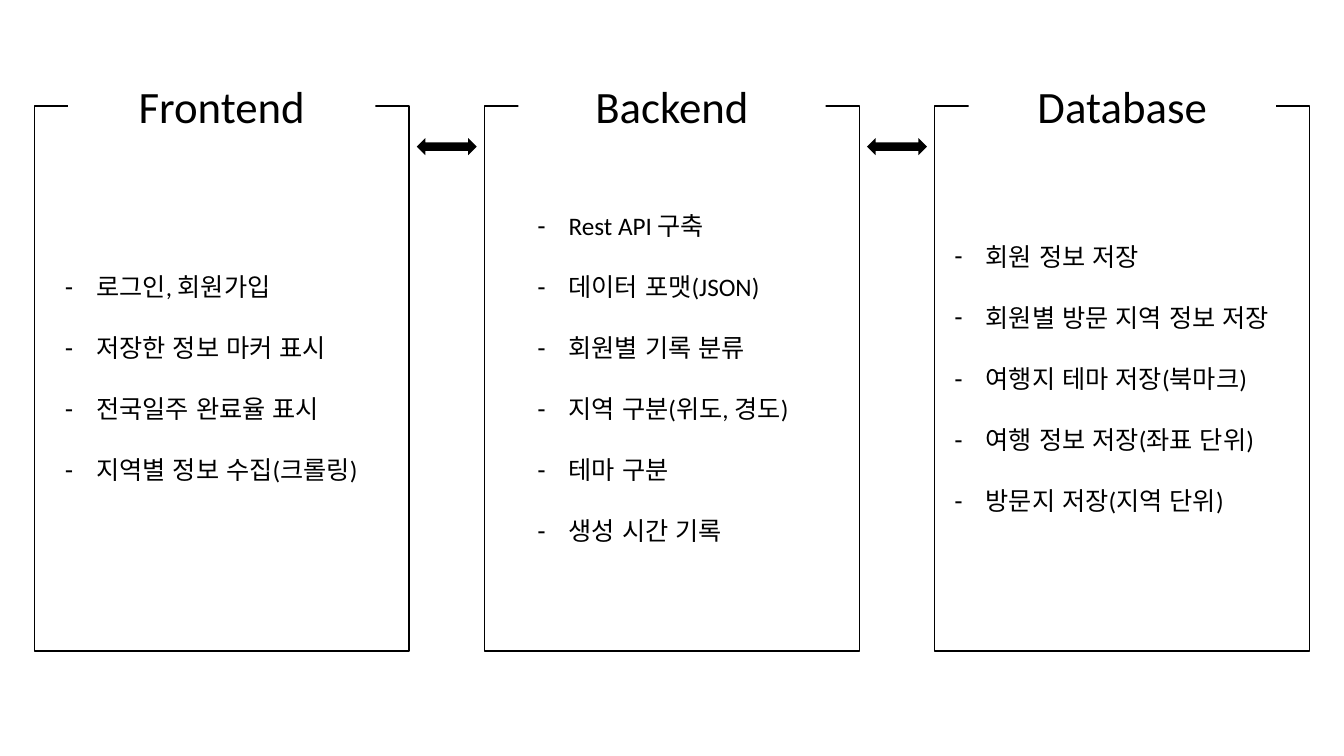
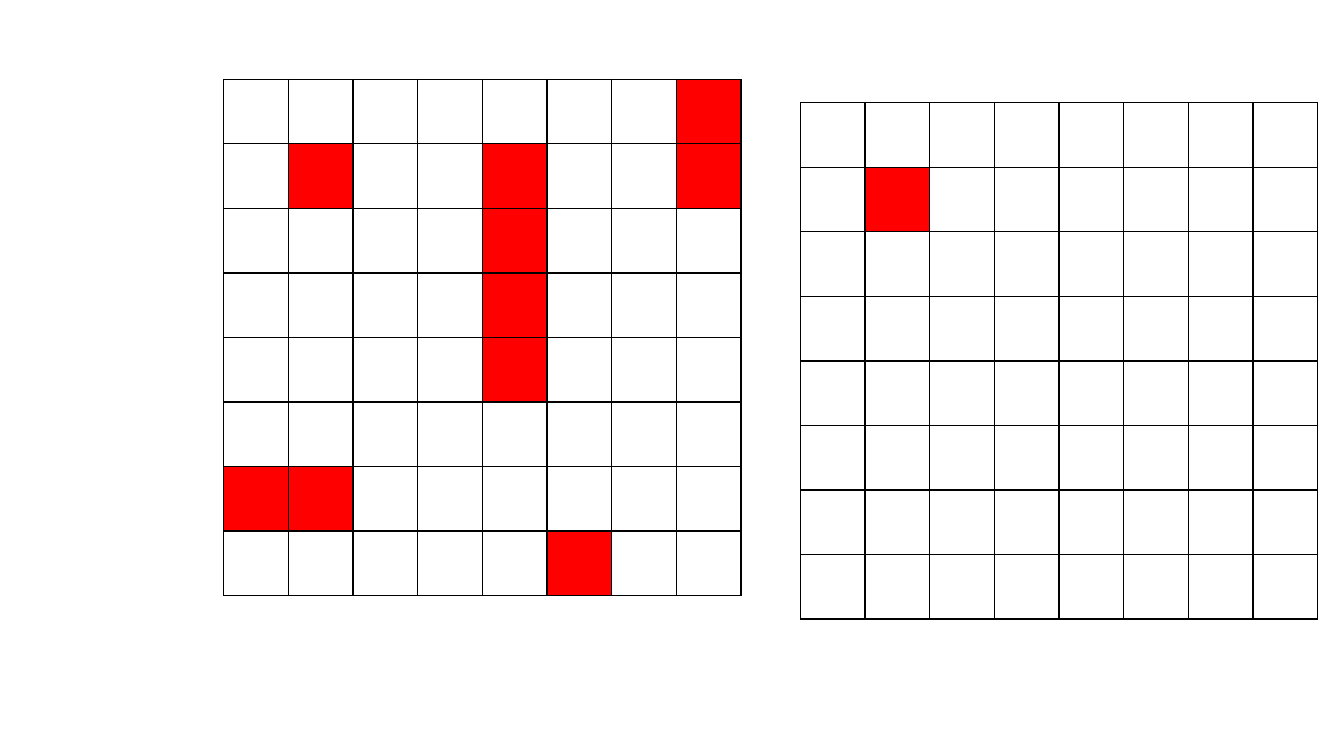
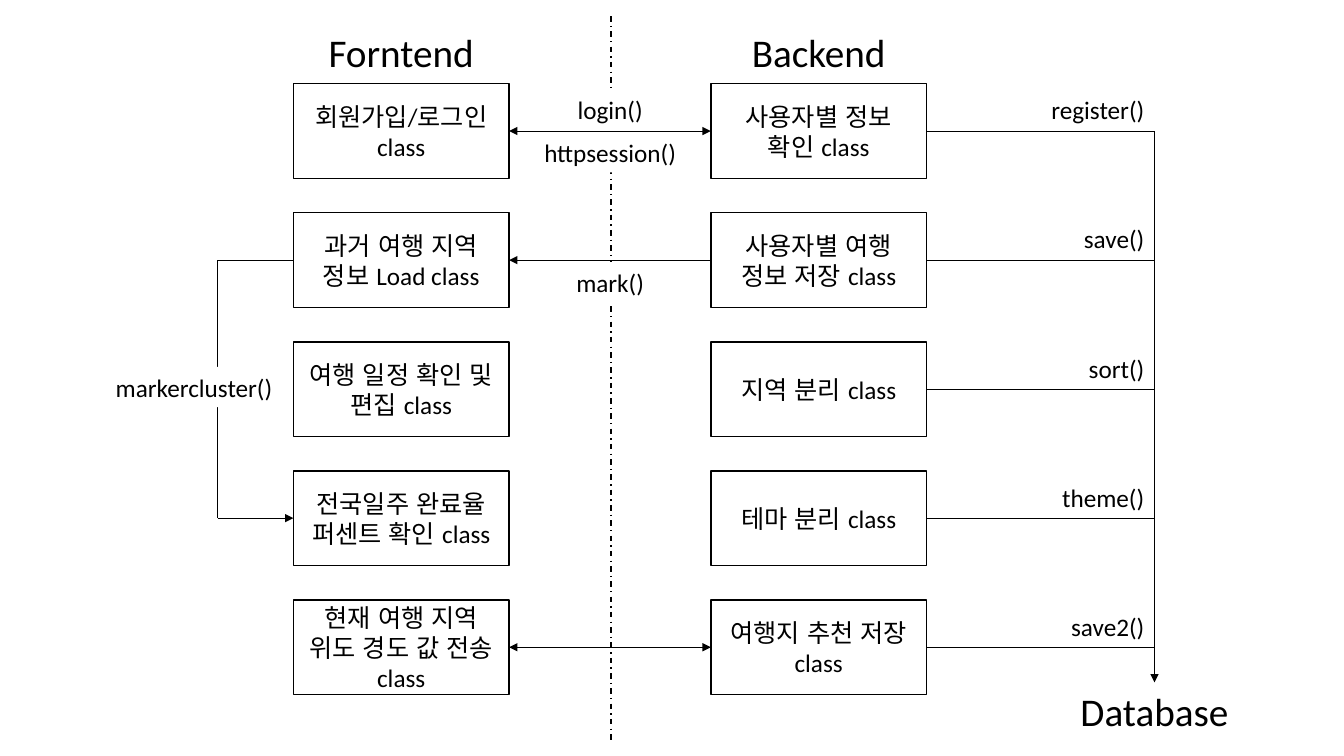
import copy
import dataclasses
import itertools

import pptx
import pptx.dml.color
import pptx.enum.dml
import pptx.enum.lang
import pptx.enum.shapes
import pptx.enum.text
import pptx.oxml
import pptx.oxml.ns
import pptx.util
from lxml import etree

COLORS = {"ink": "000000", "paper": "FFFFFF", "mark": "FF0000"}
FONT = "Calibri"
SIZES = {"panel": 32, "column": 28, "text": 18}
THIN, REGULAR = 0.5, 1
ALIGN = pptx.enum.text.PP_ALIGN
ANCHOR = pptx.enum.text.MSO_ANCHOR
SHAPE = pptx.enum.shapes.MSO_SHAPE
qn = pptx.oxml.ns.qn


@dataclasses.dataclass
class Box:
    left: float
    top: float
    width: float
    height: float

    def x(self, percent):
        return self.left + self.width * percent / 100

    def y(self, percent):
        return self.top + self.height * percent / 100

    def share(self, left, top, width, height):
        return Box(self.x(left), self.y(top),
                   self.width * width / 100, self.height * height / 100)

    def lengths(self):
        return [pptx.util.Inches(value) for value in dataclasses.astuple(self)]


PAGE = Box(0, 0, 13.33, 7.5)


def color(name):
    return pptx.dml.color.RGBColor.from_string(COLORS[name])


def paint(fill, name):
    fill.solid()
    fill.fore_color.rgb = color(name)


def style_paragraph(para, size, align):
    para.alignment = align
    para.font.name = FONT
    para.font.size = pptx.util.Pt(size)
    para.font.bold = False
    para.font.color.rgb = color("ink")
    para.font.language_id = pptx.enum.lang.MSO_LANGUAGE_ID.KOREAN


def place(shape, box):
    shape.left, shape.top, shape.width, shape.height = box.lengths()


def write(shape, text, size, align=ALIGN.CENTER, side_margin=0.1):
    frame = shape.text_frame
    frame.word_wrap = True
    frame.auto_size = pptx.enum.text.MSO_AUTO_SIZE.NONE
    frame.vertical_anchor = ANCHOR.MIDDLE
    frame.margin_left = frame.margin_right = pptx.util.Inches(side_margin)
    frame.text = text
    for para in frame.paragraphs:
        para.space_before = pptx.util.Pt(0)
        style_paragraph(para, size, align)


def add_frame(slide, box):
    frame = slide.shapes.add_shape(SHAPE.RECTANGLE, *box.lengths())
    frame.shadow.inherit = False
    frame.fill.background()
    frame.line.color.rgb = color("ink")
    frame.line.width = pptx.util.Pt(REGULAR)
    return frame


def add_label(slide, box, text, size=SIZES["text"], align=ALIGN.CENTER, filled=False):
    label = slide.shapes.add_textbox(*box.lengths())
    if filled:
        paint(label.fill, "paper")
    write(label, text, size, align, side_margin=0)


def add_line(slide, start, end, width=THIN, heads=(), dash=None):
    points = [pptx.util.Inches(value) for value in (*start, *end)]
    line = slide.shapes.add_connector(pptx.enum.shapes.MSO_CONNECTOR.STRAIGHT, *points)
    line.line.color.rgb = color("ink")
    line.line.width = pptx.util.Pt(width)
    if dash:
        line.line.dash_style = dash
    properties = line.element.spPr
    for head in heads:
        etree.SubElement(properties.find(qn("a:ln")), qn(f"a:{head}")).set("type", "triangle")
    etree.SubElement(properties, qn("a:effectLst"))
    return line


def widen_comparison_layout(layout):
    for source_index, new_index in ((1, 13), (2, 14)):
        source = layout.placeholders.get(idx=source_index).element
        extra = copy.deepcopy(source)
        extra.find(".//" + qn("p:cNvPr")).set("id", str(new_index + 20))
        extra.find(".//" + qn("p:ph")).set("idx", str(new_index))
        source.getparent().append(extra)


def fill_list(body, box, items):
    place(body, box)
    write(body, "\n".join(items), SIZES["text"], ALIGN.LEFT)
    body.text_frame.vertical_anchor = ANCHOR.TOP
    indent = pptx.util.Inches(0.31)
    for number, para in enumerate(body.text_frame.paragraphs):
        properties = para._p.get_or_add_pPr()
        properties.set("marL", str(indent))
        properties.set("indent", str(-indent))
        bullet = etree.Element(qn("a:buChar"), char="-")
        properties.find(qn("a:defRPr")).addprevious(bullet)
        para.space_before = pptx.util.Pt(22 if number else 0)


def add_panel(slide, box, heading, body, title, items, list_width):
    frame = add_frame(slide, box)
    heading.element.addprevious(frame.element)
    place(heading, box.share(9, -5.9, 82, 11.8))
    paint(heading.fill, "paper")
    write(heading, title, SIZES["panel"])
    list_height = 5.6 * (2 * len(items) - 1) + 1.85
    list_box = box.share((100 - list_width) / 2, (100 - list_height) / 2,
                         list_width, list_height)
    fill_list(body, list_box, items)


def add_link_arrow(slide, panel):
    arrow = slide.shapes.add_shape(SHAPE.LEFT_RIGHT_ARROW,
                                   *panel.share(102, 5.9, 16, 3.14).lengths())
    arrow.shadow.inherit = False
    paint(arrow.fill, "ink")
    arrow.line.fill.background()


PANELS = [
    ("Frontend", 89, (1, 2),
     ["로그인, 회원가입", "저장한 정보 마커 표시", "전국일주 완료율 표시",
      "지역별 정보 수집(크롤링)"]),
    ("Backend", 77.2, (3, 4),
     ["Rest API 구축", "데이터 포맷(JSON)", "회원별 기록 분류",
      "지역 구분(위도, 경도)", "테마 구분", "생성 시간 기록"]),
    ("Database", 94.9, (13, 14),
     ["회원 정보 저장", "회원별 방문 지역 정보 저장", "여행지 테마 저장(북마크)",
      "여행 정보 저장(좌표 단위)", "방문지 저장(지역 단위)"]),
]


def build_overview(deck):
    layout = deck.slide_layouts[4]
    widen_comparison_layout(layout)
    slide = deck.slides.add_slide(layout)
    title = slide.shapes.title.element
    title.getparent().remove(title)
    for column, (name, list_width, indexes, items) in enumerate(PANELS):
        panel = PAGE.share(2.55 + 33.5 * column, 14, 27.9, 72.13)
        heading, body = (slide.placeholders[index] for index in indexes)
        add_panel(slide, panel, heading, body, name, items, list_width)
        if column < len(PANELS) - 1:
            add_link_arrow(slide, panel)


def style_cell(cell, marked):
    properties = cell._tc.get_or_add_tcPr()
    for side in ("lnL", "lnR", "lnT", "lnB"):
        border = etree.SubElement(properties, qn(f"a:{side}"),
                                  w=str(pptx.util.Pt(REGULAR)))
        solid = etree.SubElement(border, qn("a:solidFill"))
        etree.SubElement(solid, qn("a:srgbClr"), val=COLORS["ink"])
    if marked:
        paint(cell.fill, "mark")
    else:
        cell.fill.background()


def add_map_grid(slide, box, marked, count=8):
    table = slide.shapes.add_table(count, count, *box.lengths()).table
    table.first_row = table.horz_banding = False
    for number in range(count):
        table.columns[number].width = pptx.util.Inches(box.width / count)
        table.rows[number].height = pptx.util.Inches(box.height / count)
    for row, column in itertools.product(range(count), repeat=2):
        style_cell(table.cell(row, column), (row, column) in marked)


def build_map_grids(deck):
    slide = deck.slides.add_slide(deck.slide_layouts[6])
    visited = {(0, 7), (1, 7), (1, 1), (1, 4), (2, 4), (3, 4), (4, 4),
               (6, 0), (6, 1), (7, 5)}
    add_map_grid(slide, PAGE.share(16.65, 10.5, 38.5, 68.3), visited)
    add_map_grid(slide, PAGE.share(59.55, 13.6, 38.5, 68.3), {(1, 1)})


FRONTEND = ["회원가입/로그인 class", "과거 여행 지역 정보 Load class",
            "여행 일정 확인 및 편집 class", "전국일주 완료율 퍼센트 확인 class",
            "현재 여행 지역 위도 경도 값 전송 class"]
BACKEND = ["사용자별 정보 확인 class", "사용자별 여행 정보 저장 class",
           "지역 분리 class", "테마 분리 class", "여행지 추천 저장 class"]
DATABASE_CALLS = ["register()", "save()", "sort()", "theme()", "save2()"]
BOTH_HEADS = ("headEnd", "tailEnd")
END_HEAD = ("tailEnd",)
DIVIDER, TRUNK, LOOP = PAGE.x(45.46), PAGE.x(85.9), PAGE.x(16.2)


def add_class_column(slide, left, title, names):
    area = PAGE.share(left, 0, 16.05, 100)
    add_label(slide, area.share(0, 3.07, 100, 7.6), title, SIZES["column"])
    nodes = []
    for row, name in enumerate(names):
        node = add_frame(slide, area.share(0, 11.07 + 17.07 * row, 100, 12.53))
        write(node, name, SIZES["text"])
        nodes.append(node)
    return nodes


def middle(node):
    return (node.top + node.height / 2) / pptx.util.Inches(1)


def connect(slide, start, end, start_site, end_site, heads):
    line = add_line(slide, (0, 0), (1, 1), heads=heads)
    line.begin_connect(start, start_site)
    line.end_connect(end, end_site)


def add_exchange(slide, frontend, backend):
    for row in (0, 4):
        connect(slide, frontend[row], backend[row], 3, 1, BOTH_HEADS)
    connect(slide, backend[1], frontend[1], 1, 3, END_HEAD)
    for text, top, width in (("login()", 11.87, 6.45), ("httpsession()", 17.47, 11.7),
                             ("mark()", 34.67, 6.7)):
        label = PAGE.share(45.4 - width / 2, top, width, 5.33)
        add_label(slide, label, text, filled=True)


def add_cluster_loop(slide, start, end):
    edge = start.left / pptx.util.Inches(1)
    upper, lower = middle(start), middle(end)
    add_line(slide, (edge, upper), (LOOP, upper))
    add_line(slide, (LOOP, upper), (LOOP, lower))
    add_line(slide, (LOOP, lower), (edge, lower), heads=END_HEAD)
    add_label(slide, PAGE.share(7.8, 48.53, 13.28, 5.33), "markercluster()", filled=True)


def add_database_trunk(slide, nodes):
    bottom = PAGE.y(90.27)
    add_line(slide, (TRUNK, middle(nodes[0])), (TRUNK, bottom), heads=END_HEAD)
    for node, call in zip(nodes, DATABASE_CALLS):
        level = middle(node)
        edge = (node.left + node.width) / pptx.util.Inches(1)
        add_line(slide, (edge, level), (TRUNK, level))
        add_label(slide, Box(TRUNK - 1.4, level - 0.41, 1.3, 0.4), call, align=ALIGN.RIGHT)
    add_label(slide, Box(TRUNK - 0.85, bottom, 1.7, 0.57), "Database", SIZES["column"])


def build_class_flow(deck):
    slide = deck.slides.add_slide(deck.slide_layouts[6])
    add_line(slide, (DIVIDER, PAGE.y(2.13)), (DIVIDER, PAGE.y(97.87)), REGULAR,
             dash=pptx.enum.dml.MSO_LINE.DASH_DOT)
    frontend = add_class_column(slide, 21.83, "Forntend", FRONTEND)
    backend = add_class_column(slide, 52.89, "Backend", BACKEND)
    add_exchange(slide, frontend, backend)
    add_cluster_loop(slide, frontend[1], frontend[3])
    add_database_trunk(slide, backend)


deck = pptx.Presentation()
deck.slide_width = pptx.util.Inches(PAGE.width)
deck.slide_height = pptx.util.Inches(PAGE.height)
build_overview(deck)
build_map_grids(deck)
build_class_flow(deck)
deck.save("out.pptx")
